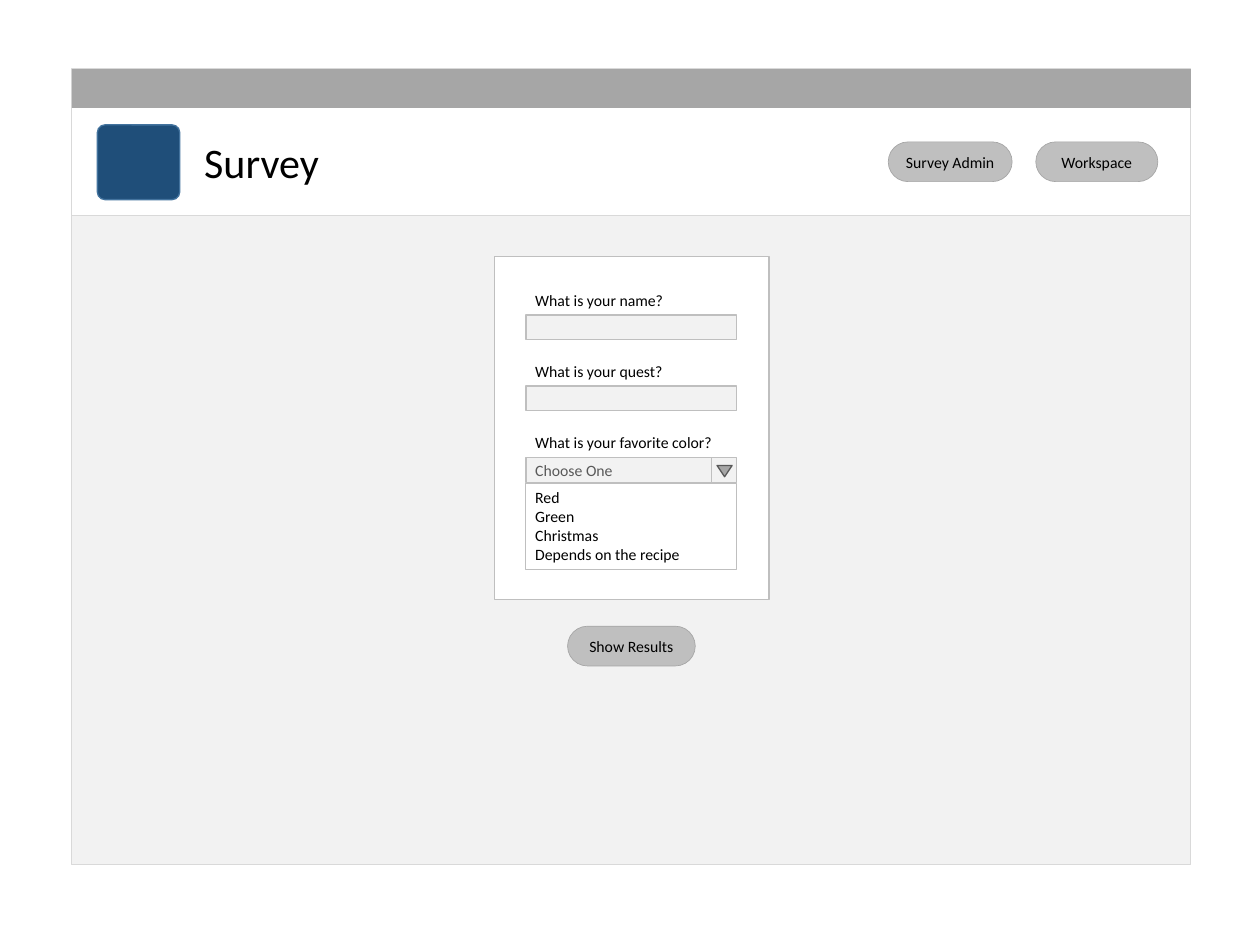
from dataclasses import dataclass
from typing import Optional

from pptx import Presentation
from pptx.dml.color import RGBColor
from pptx.enum.shapes import MSO_SHAPE
from pptx.enum.text import MSO_ANCHOR, PP_ALIGN
from pptx.util import Inches, Pt

RECTANGLE = MSO_SHAPE.RECTANGLE
ROUNDED = MSO_SHAPE.ROUNDED_RECTANGLE
TRIANGLE = MSO_SHAPE.ISOSCELES_TRIANGLE
TOP, MIDDLE = MSO_ANCHOR.TOP, MSO_ANCHOR.MIDDLE
LEFT, CENTER = PP_ALIGN.LEFT, PP_ALIGN.CENTER

BLACK = RGBColor(0x00, 0x00, 0x00)
WHITE = RGBColor(0xFF, 0xFF, 0xFF)
PALE = RGBColor(0xF2, 0xF2, 0xF2)
FRAME = RGBColor(0xD9, 0xD9, 0xD9)
SILVER = RGBColor(0xBF, 0xBF, 0xBF)
BUTTON_EDGE = RGBColor(0xA5, 0xA5, 0xA5)
GRAY = RGBColor(0xA6, 0xA6, 0xA6)
DARK = RGBColor(0x59, 0x59, 0x59)
NAVY = RGBColor(0x1F, 0x4E, 0x79)
BLUE = RGBColor(0x43, 0x73, 0x9E)

FONT = "Calibri"
WINDOW_LEFT, WINDOW_WIDTH = 0.76, 11.83
FIELD_LEFT, FIELD_WIDTH, FIELD_HEIGHT = 5.56, 2.23, 0.26
ARROW_WIDTH = 0.27
LABEL_HEIGHT = 0.3
FIRST_QUESTION, QUESTION_STEP = 3.03, 0.75
MENU_TOP = 4.84


@dataclass(frozen=True)
class Area:
    left: float
    top: float
    width: float
    height: float

    def lengths(self) -> list:
        return [Inches(n) for n in (self.left, self.top, self.width, self.height)]


@dataclass(frozen=True)
class Button:
    caption: str
    area: Area


BUTTONS = [
    Button("Show Results", Area(6, 6.62, 1.35, 0.42)),
    Button("Survey Admin", Area(9.39, 1.5, 1.31, 0.42)),
    Button("Workspace", Area(10.95, 1.5, 1.29, 0.42)),
]
QUESTIONS = ["What is your name?", "What is your quest?", "What is your favorite color?"]
COLOR_CHOICES = ["Red", "Green", "Christmas", "Depends on the recipe"]


def write(shape, lines: list[str], size: float = 12, color: RGBColor = BLACK,
          align=LEFT, anchor=TOP) -> None:
    frame = shape.text_frame
    frame.word_wrap = True
    frame.vertical_anchor = anchor
    frame.text = "\n".join(lines)
    for para in frame.paragraphs:
        para.alignment = align
        para.font.name = FONT
        para.font.size = Pt(size)
        para.font.color.rgb = color


def add_panel(page, area: Area, fill: RGBColor, line: Optional[RGBColor],
              weight: float = 1, kind=RECTANGLE):
    shape = page.shapes.add_shape(kind, *area.lengths())
    shape.shadow.inherit = False
    shape.fill.solid()
    shape.fill.fore_color.rgb = fill
    if line is None:
        shape.line.fill.background()
    else:
        shape.line.color.rgb = line
        shape.line.width = Pt(weight)
    return shape


def add_label(page, area: Area, caption: str, size: float = 12,
              color: RGBColor = BLACK) -> None:
    write(page.shapes.add_textbox(*area.lengths()), [caption], size, color)


def add_button(page, button: Button) -> None:
    shape = add_panel(page, button.area, SILVER, BUTTON_EDGE, 0.5, ROUNDED)
    shape.adjustments[0] = 0.5
    write(shape, [button.caption], align=CENTER, anchor=MIDDLE)


def add_field(page, left: float, top: float, width: float) -> None:
    add_panel(page, Area(left, top, width, FIELD_HEIGHT), PALE, SILVER)


def add_window(page) -> None:
    add_panel(page, Area(WINDOW_LEFT, 0.73, WINDOW_WIDTH, 8.41), PALE, FRAME)
    add_panel(page, Area(WINDOW_LEFT, 1.14, WINDOW_WIDTH, 1.14), WHITE, FRAME)
    add_panel(page, Area(WINDOW_LEFT, 0.73, WINDOW_WIDTH, 0.41), GRAY, None)
    emblem = add_panel(page, Area(1.03, 1.32, 0.87, 0.79), NAVY, BLUE, kind=ROUNDED)
    emblem.adjustments[0] = 0.1
    add_label(page, Area(2.06, 1.39, 1.78, 0.64), "Survey", 32)


def add_questions(page) -> None:
    add_panel(page, Area(5.23, 2.71, 2.9, 3.63), WHITE, SILVER)
    for index, question in enumerate(QUESTIONS):
        top = FIRST_QUESTION + index * QUESTION_STEP
        add_label(page, Area(FIELD_LEFT, top, FIELD_WIDTH, LABEL_HEIGHT), question)
        if index < len(QUESTIONS) - 1:
            add_field(page, FIELD_LEFT, top + LABEL_HEIGHT, FIELD_WIDTH)


def add_color_menu(page) -> None:
    choices = add_panel(page, Area(FIELD_LEFT, 5.11, FIELD_WIDTH, 0.91), WHITE, SILVER, 0.75)
    write(choices, COLOR_CHOICES)
    text_width = FIELD_WIDTH - ARROW_WIDTH
    add_field(page, FIELD_LEFT, MENU_TOP, text_width)
    add_label(page, Area(FIELD_LEFT, 4.82, 1.15, LABEL_HEIGHT), "Choose One", color=DARK)
    add_field(page, FIELD_LEFT + text_width, MENU_TOP, ARROW_WIDTH)
    arrow = add_panel(page, Area(7.58, 4.92, 0.16, 0.12), GRAY, DARK, kind=TRIANGLE)
    arrow.rotation = 180


def main() -> None:
    deck = Presentation()
    deck.slide_width, deck.slide_height = Inches(13.32), Inches(9.99)
    page = deck.slides.add_slide(deck.slide_layouts[6])
    add_window(page)
    add_questions(page)
    add_color_menu(page)
    for button in BUTTONS:
        add_button(page, button)
    deck.save("out.pptx")


if __name__ == "__main__":
    main()
